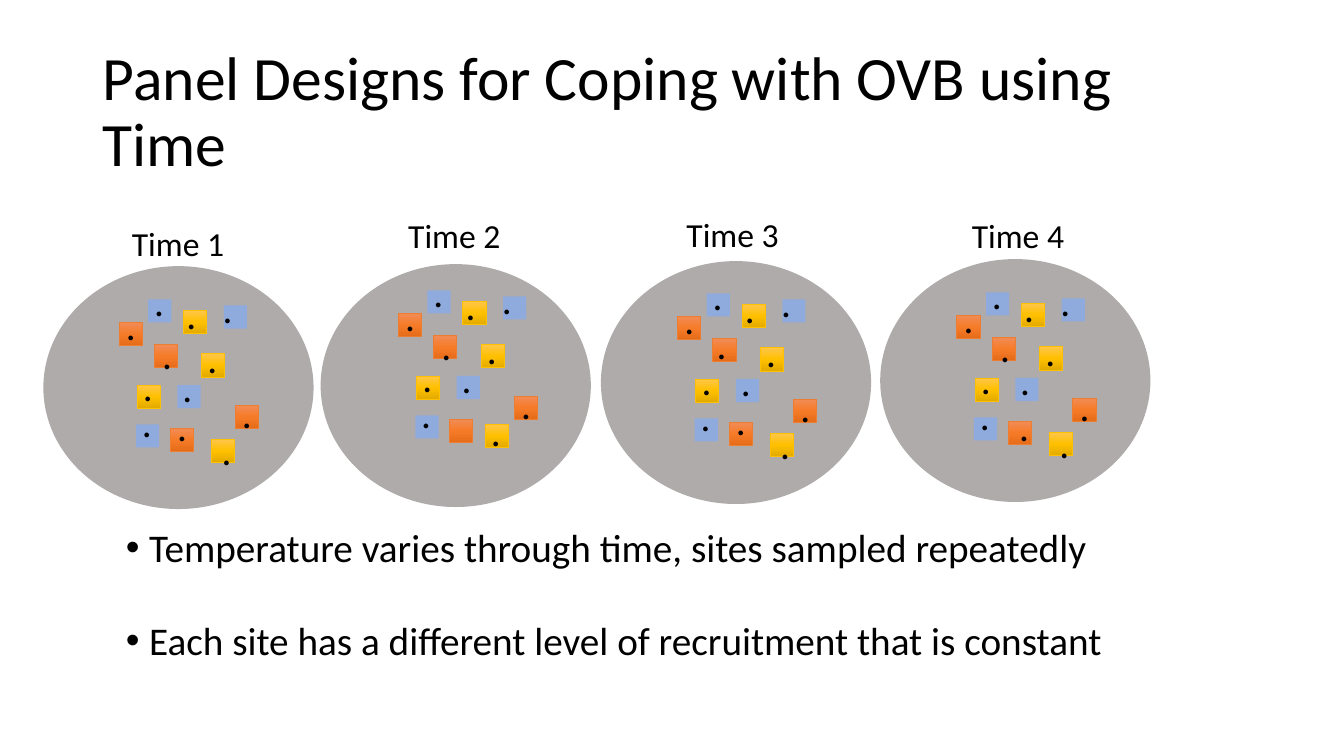
from copy import deepcopy

from lxml.etree import SubElement
from pptx import Presentation
from pptx.dml.color import RGBColor
from pptx.enum.shapes import MSO_SHAPE
from pptx.enum.text import MSO_ANCHOR, MSO_AUTO_SIZE
from pptx.oxml.ns import qn
from pptx.util import Pt

SCALE = 9144
SIDE = 23
BLUE, RED, GOLD = "8FAADC", "ED7D31", "FFC000"
SHADES = {RED: ("F18C57", "F67B28", "E56C19"),
          GOLD: ("FFC64B", "FFC000", "E3AB00")}

# Site: colour, square left and top, dot box left and top, in the first panel.
SITES = [
    (BLUE, 147, 297, 143, 270), (BLUE, 135, 421, 131, 390),
    (BLUE, 176, 382, 171, 356), (BLUE, 222, 303, 211, 277),
    (RED, 118, 320, 115, 294), (GOLD, 182, 308, 175, 283),
    (RED, 153, 342, 151, 323), (GOLD, 200, 351, 196, 327),
    (RED, 233, 402, 230, 381), (GOLD, 210, 436, 210, 418),
    (RED, 169, 425, 166, 394), (GOLD, 136, 382, 132, 355),
]
# Panel: disc left and top, label left and top, rise of the sites.
PANELS = [(43, 264, 121, 216, 0), (318, 262, 395, 208, 9),
          (596, 259, 671, 207, 6), (873, 257, 954, 208, 7)]
STEP = 277
# Sites that stray, by panel and site: shift of the square, shift of the dot.
STRAYS = {(1, 9): (-6, -6, -10, -10), (2, 6): (0, 0, -4, -4),
          (3, 10): (0, 0, 4, 7)}
BARE = {(1, 10)}


def px(*sizes):
    """Turn px lengths into EMU."""
    return [size * SCALE for size in sizes]


def paint(color, code):
    """Set a colour from its hex string."""
    color.rgb = RGBColor.from_string(code)


def add_form(slide, kind, box, code):
    """Add a plain filled shape, shaded and edged if its colour has shades."""
    form = slide.shapes.add_shape(kind, *px(*box))
    form.shadow.inherit = False
    if code not in SHADES:
        form.fill.solid()
        paint(form.fill.fore_color, code)
        form.line.fill.background()
        return
    form.fill.gradient()
    form.fill.gradient_angle = 270
    stops = next(form.element.spPr.iter(qn("a:gsLst")))
    stops.insert(1, deepcopy(stops[0]))
    for stop, place, shade in zip(form.fill.gradient_stops, (0, 0.5, 1), SHADES[code]):
        stop.position = place
        paint(stop.color, shade)
    paint(form.line.color, code)
    form.line.width = Pt(0.5)


def style(para, size):
    """Format the runs of a paragraph."""
    for run in para.runs:
        run.font.name = "Calibri"
        run.font.size = Pt(size)
        paint(run.font.color, "000000")


def add_text(slide, text, box, size, wrap=False):
    """Add a text box that grows with its text."""
    frame = slide.shapes.add_textbox(*px(*box)).text_frame
    frame.word_wrap = wrap
    frame.auto_size = MSO_AUTO_SIZE.SHAPE_TO_FIT_TEXT
    frame.text = text
    for para in frame.paragraphs:
        style(para, size)
    return frame


def add_title(slide, text):
    """Add the slide title."""
    frame = add_text(slide, text, (92, 40, 1150, 145), 44, True)
    frame.auto_size = MSO_AUTO_SIZE.NONE
    frame.vertical_anchor = MSO_ANCHOR.MIDDLE
    frame.paragraphs[0].line_spacing = 0.9


def add_list(slide, lines):
    """Add the bulleted remarks."""
    frame = add_text(slide, "\n".join(lines), (115, 514, 1011, 151), 28, True)
    for rank, para in enumerate(frame.paragraphs):
        props = para._p.get_or_add_pPr()
        props.set("marL", str(SIDE * SCALE))
        props.set("indent", str(-SIDE * SCALE))
        SubElement(props, qn("a:buFont")).set("typeface", "Arial")
        SubElement(props, qn("a:buChar")).set("char", "•")
        if rank:
            para.space_before = Pt(33)


def add_panel(slide, rank):
    """Add one time panel: disc, sites with their dots, and label."""
    left, top, tagx, tagy, rise = PANELS[rank]
    add_form(slide, MSO_SHAPE.OVAL, (left, top, 268, 241), "AFABAB")
    for spot, (code, x, y, dotx, doty) in enumerate(SITES):
        key = rank, spot
        movex, movey, slipx, slipy = STRAYS.get(key, (0, 0, 0, 0))
        over = rank * STEP
        add_form(slide, MSO_SHAPE.RECTANGLE,
                 (x + over + movex, y - rise + movey, SIDE, SIDE), code)
        if key not in BARE:
            add_text(slide, ".", (dotx + over + slipx, doty - rise + slipy, 30, 57), 28)
    add_text(slide, f"Time {rank + 1}", (tagx, tagy, 113, 50), 24)


def main():
    """Build and save the slide."""
    deck = Presentation()
    deck.slide_width, deck.slide_height = px(1333, 750)
    slide = deck.slides.add_slide(deck.slide_layouts[6])
    add_title(slide, "Panel Designs for Coping with OVB using Time")
    for rank in range(len(PANELS)):
        add_panel(slide, rank)
    add_list(slide, ["Temperature varies through time, sites sampled repeatedly",
                     "Each site has a different level of recruitment that is constant"])
    deck.save("out.pptx")


if __name__ == "__main__":
    main()
